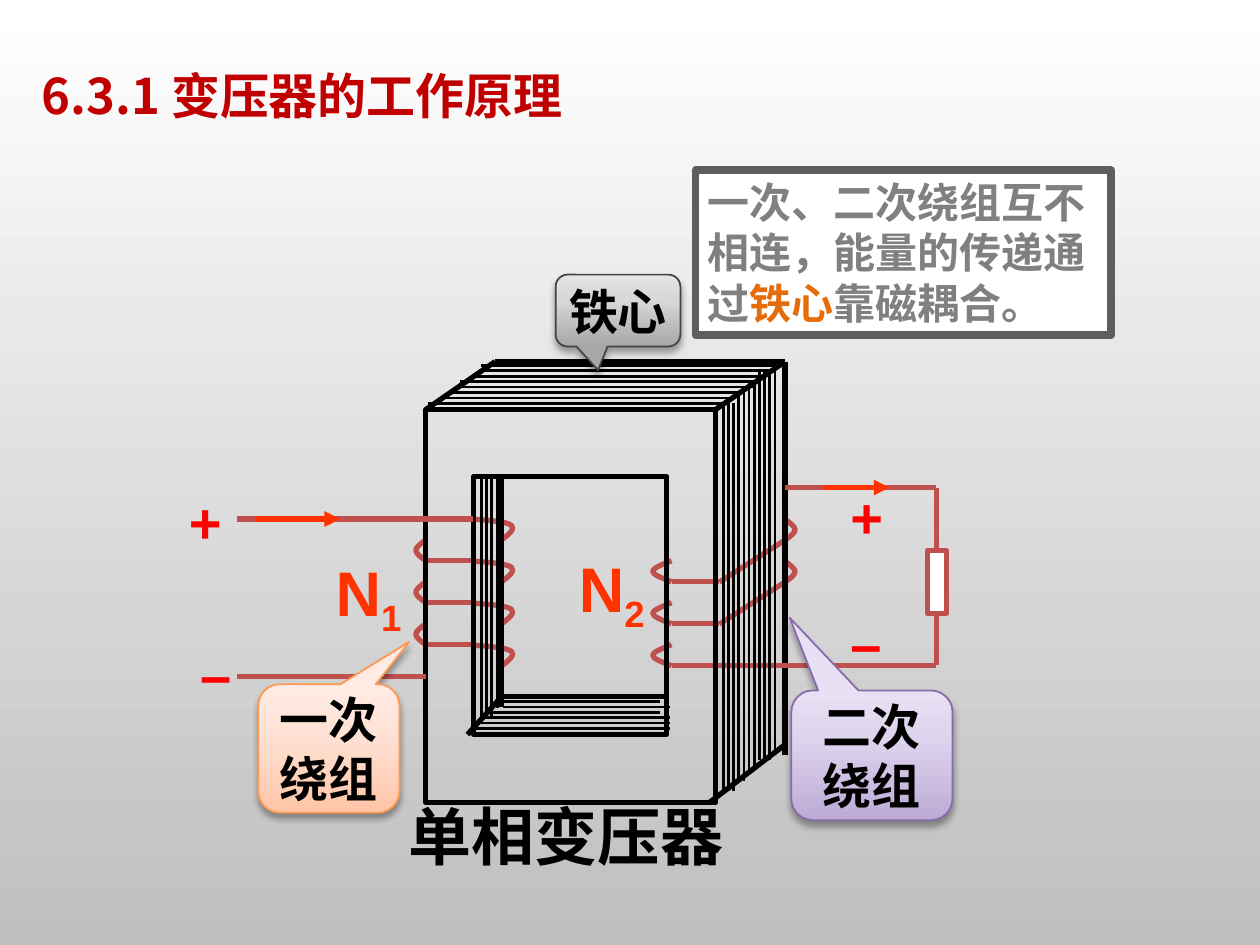
from copy import deepcopy

from lxml.etree import SubElement
from pptx import Presentation
from pptx.dml.color import RGBColor
from pptx.enum.shapes import MSO_CONNECTOR, MSO_SHAPE
from pptx.enum.text import MSO_ANCHOR, MSO_AUTO_SIZE, PP_ALIGN
from pptx.oxml.ns import qn
from pptx.util import Inches, Pt

COPPER, BLACK, ARROW, RED = "C0504D", "000000", "FF3300", "FF0000"
PITCH = 1 / 3


def colour(code):
    """Turn a hex string into a colour."""
    return RGBColor.from_string(code)


def assign(target, values):
    """Set every named value on the target."""
    for name, value in values.items():
        setattr(target, name, value)


def stroke(line, code, width):
    """Give a line its colour and width."""
    line.color.rgb = colour(code)
    line.width = Pt(width)


def shade(holder, fill, stops, angle):
    """Apply a linear gradient made of (position, colour) stops."""
    fill.gradient()
    fill.gradient_angle = angle
    stop_list = holder._element.find(".//" + qn("a:gsLst"))
    for _ in stops[2:]:
        stop_list.append(deepcopy(stop_list[-1]))
    for stop, (position, code) in zip(fill.gradient_stops, stops):
        stop.position = position
        stop.color.rgb = colour(code)


def write(box, paragraphs, font, frame=None, layout=None):
    """Write paragraphs of (text, colour, baseline) spans into a box."""
    assign(box.text_frame, {"word_wrap": True, "vertical_anchor": MSO_ANCHOR.TOP, **(frame or {})})
    for index, spans in enumerate(paragraphs):
        para = box.text_frame.add_paragraph() if index else box.text_frame.paragraphs[0]
        assign(para, {"alignment": PP_ALIGN.LEFT, **(layout or {})})
        for text, code, baseline in spans:
            span = para.add_run()
            span.text = text
            assign(span.font, {"bold": True, **font})
            span.font.color.rgb = colour(code)
            properties = span.font._element
            SubElement(properties, qn("a:ea"), typeface="Noto Sans CJK SC")
            if baseline:
                properties.set("baseline", str(baseline * 1000))


def add_line(page, start, end, code=BLACK, width=3, arrow=False):
    """Draw a straight line, with an arrowhead at its end if asked."""
    line = page.shapes.add_connector(MSO_CONNECTOR.STRAIGHT, *map(Inches, (*start, *end)))
    stroke(line.line, code, width)
    if arrow:
        SubElement(line.get_or_add_ln(), qn("a:tailEnd"), type="triangle")
    SubElement(line._element.spPr, qn("a:effectLst"))


def add_box(page, place, code, width, fill=None, preset=MSO_SHAPE.RECTANGLE):
    """Draw a preset shape with an outline and an optional plain fill."""
    box = page.shapes.add_shape(preset, *map(Inches, place))
    box.shadow.inherit = False
    stroke(box.line, code, width)
    if fill:
        box.fill.solid()
        box.fill.fore_color.rgb = colour(fill)
    else:
        box.fill.background()
    return box


def add_curve(page, start, *knots):
    """Draw a smooth copper wire, each three knots making one cubic segment."""
    builder = page.shapes.build_freeform(*map(Inches, start))
    builder.add_line_segments([tuple(map(Inches, knot)) for knot in knots], close=False)
    wire = builder.convert_to_shape()
    outline = wire._element.find(".//" + qn("a:path"))
    steps = outline.findall(qn("a:lnTo"))
    for first in range(0, len(steps), 3):
        cubic = SubElement(outline, qn("a:cubicBezTo"))
        for step in steps[first:first + 3]:
            cubic.append(step[0])
            outline.remove(step)
    wire.fill.background()
    wire.shadow.inherit = False
    stroke(wire.line, COPPER, 3)


def add_bend(page, x, y, depth):
    """Draw the half turn where a wire goes round the core."""
    middle, tip = x + depth / 2, x + depth
    add_curve(page, (x, y), (middle, y + 0.03), (tip, y + 0.06), (tip, y + PITCH / 4),
              (tip, y + 0.11), (middle, y + 0.14), (x, y + PITCH / 2))


def add_label(page, place, spans, size, layout=None, wrap=True):
    """Add a free text label."""
    box = page.shapes.add_textbox(*map(Inches, place))
    write(box, [spans], {"name": "Arial", "size": Pt(size)},
          {"word_wrap": wrap, "auto_size": MSO_AUTO_SIZE.SHAPE_TO_FIT_TEXT}, layout)


def add_callout(page, place, tip, outline, stops, lines):
    """Add a shaded callout with a soft shadow."""
    box = add_box(page, place, outline, 1, preset=MSO_SHAPE.ROUNDED_RECTANGULAR_CALLOUT)
    for index, value in enumerate((*tip, 0.167)):
        box.adjustments[index] = value
    shade(box, box.fill, list(zip((0, 0.65, 1), stops)), 90)
    effects = box._element.spPr.find(qn("a:effectLst"))
    shadow = SubElement(effects, qn("a:outerShdw"), blurRad=str(Pt(4)), dist=str(Pt(3)),
                        dir="5400000", rotWithShape="0")
    tone = SubElement(shadow, qn("a:srgbClr"), val=BLACK)
    SubElement(tone, qn("a:alpha"), val="35000")
    write(box, [[(line, BLACK, 0)] for line in lines], {"name": "Arial", "size": Pt(28)},
          {"word_wrap": False, "vertical_anchor": MSO_ANCHOR.MIDDLE},
          {"alignment": PP_ALIGN.CENTER})


def add_windings(page):
    """Draw the turns of both windings."""
    for turn in range(4):
        y = 4.12 + turn * PITCH
        add_curve(page, (3.75, y), (3.89, y + 0.01), (4.02, y + 0.02), (4.06, y + 0.05),
                  (4.09, y + 0.08), (4.04, y + 0.12), (3.98, y + PITCH / 2))
    for turn in range(3):
        y = 4.45 + turn * PITCH
        add_line(page, (3.75, y), (3.38, y), COPPER)
        add_bend(page, 3.38, y - PITCH / 2, -0.08)
        add_line(page, (5.71, y + PITCH / 2), (5.33, y + PITCH / 2), COPPER)
        add_bend(page, 5.33, y, -0.15)
    for turn in range(2):
        y = 4.12 + turn * PITCH
        add_line(page, (5.71, y + 0.5), (6.23, y + PITCH / 2), COPPER)
        add_bend(page, 6.23, y, 0.08)


def add_core(page):
    """Draw the outline of the iron core."""
    for place in ((3.38, 3.25, 2.3, 3.12), (3.76, 3.78, 1.53, 2.05)):
        add_box(page, place, BLACK, 3)
    for start, end in (((6.23, 2.87), (6.23, 5.99)), ((3.93, 2.87), (3.38, 3.25)),
                       ((3.93, 2.87), (6.23, 2.87)), ((6.23, 2.87), (5.68, 3.25)),
                       ((6.23, 5.91), (5.63, 6.37)), ((3.98, 5.53), (3.71, 5.83)),
                       ((3.98, 3.78), (3.98, 5.61)), ((3.98, 5.53), (5.3, 5.53))):
        add_line(page, start, end)


def add_circuit(page):
    """Draw the leads, the load and the current arrows."""
    for start, end in (((1.88, 4.12), (3.75, 4.12)), ((3.38, 5.37), (1.88, 5.37)),
                       ((5.71, 5.28), (7.43, 5.28)), ((6.23, 3.87), (7.43, 3.87)),
                       ((7.43, 3.87), (7.43, 5.28))):
        add_line(page, start, end, COPPER)
    add_box(page, (7.36, 4.37, 0.15, 0.5), COPPER, 3, "FFFFFF")
    add_line(page, (2.03, 4.12), (2.7, 4.12), ARROW, arrow=True)
    add_line(page, (6.53, 3.87), (7.06, 3.87), ARROW, arrow=True)


def add_laminations(page):
    """Draw the thin sheet edges on the faces of the core."""
    for index, x in enumerate((3.82, 3.82, 3.74, 3.65, 3.65, 3.57, 3.49, 3.4)):
        y = 2.9 + index * 0.043
        add_line(page, (x, y), (x + 2.33, y), width=1.5)
    for index, y in enumerate((3.2, 3.2, 3.2, 3.12, 3.12, 3.03, 3.03, 2.95, 2.95, 2.95, 2.87)):
        x = 5.74 + index * 0.041
        add_line(page, (x, y), (x, y + 3.08), width=1.5)
    for x, bottom in ((3.82, 5.7), (3.86, 5.7), (3.9, 5.7), (3.95, 5.62)):
        add_line(page, (x, 3.78), (x, bottom), width=1.5)
    for index, (left, right) in enumerate(((3.99, 5.24), (3.99, 5.32), (3.9, 5.24),
                                           (3.82, 5.32), (3.82, 5.32), (3.74, 5.32))):
        y = 5.57 + index * 0.042
        add_line(page, (left, y), (right, y), width=1.5)


def add_labels(page):
    """Name the polarity, the turns and the whole device."""
    centred = {"alignment": PP_ALIGN.CENTER}
    add_label(page, (2.32, 6.28, 4.35, 0.7), [("单相变压器", BLACK, 0)], 36, centred)
    for sign, x, y in (("+", 1.4, 3.82), ("–", 1.49, 5.03), ("+", 6.65, 3.78), ("–", 6.65, 4.78)):
        add_label(page, (x, y, 0.67, 0.63), [(sign, RED, 0)], 32)
    for number, x, y in (("1", 2.56, 4.34), ("2", 4.49, 4.31)):
        add_label(page, (x, y, 0.73, 0.7), [("N", ARROW, 0), (number, ARROW, -25)], 36,
                  centred, wrap=False)


def add_notes(page):
    """Add the explanation and the three callouts."""
    box = add_box(page, (5.52, 1.35, 3.3, 1.31), "5E5E5E", 4.33, "FFFFFF")
    write(box, [[("一次、二次绕组互不相连，能量的传递通过", "808080", 0), ("铁心", "E46C0A", 0),
                 ("靠磁耦合。", "808080", 0)]], {"name": "Times New Roman", "size": Pt(24)},
          {"auto_size": MSO_AUTO_SIZE.SHAPE_TO_FIT_TEXT})
    add_callout(page, (2.05, 5.43, 1.12, 1.02), (0.57, -0.83), "FF984E",
                ("FFC5A8", "FFE3D7", "FFEBE3"), ("一次", "绕组"))
    add_callout(page, (6.28, 5.48, 1.28, 1.03), (-0.51, -1.06), "876BAA",
                ("BCABD5", "DFD5EE", "E8E0F4"), ("二次", "绕组"))
    add_callout(page, (4.41, 2.18, 0.99, 0.57), (-0.16, 0.83), "444444",
                ("A7A7A7", "D8D8D8", "E4E4E4"), ("铁心",))


def main():
    """Build and save the slide."""
    deck = Presentation()
    assign(deck, {"slide_width": Inches(10), "slide_height": Inches(7.5)})
    page = deck.slides.add_slide(deck.slide_layouts[5])
    shade(page, page.background.fill, [(0, "FFFFFF"), (1, "BFBFBF")], 270)
    title = page.shapes.title
    assign(title, {"left": Inches(0.23), "top": Inches(0.45),
                   "width": Inches(5.17), "height": Inches(0.67)})
    write(title, [[("6.3.1 变压器的工作原理", "C00000", 0)]],
          {"name": "Noto Sans CJK SC", "size": Pt(28)}, {"vertical_anchor": MSO_ANCHOR.MIDDLE},
          {"alignment": PP_ALIGN.JUSTIFY, "line_spacing": 0.9})
    for add_part in (add_windings, add_core, add_circuit, add_laminations, add_labels, add_notes):
        add_part(page)
    deck.save("out.pptx")


if __name__ == "__main__":
    main()
